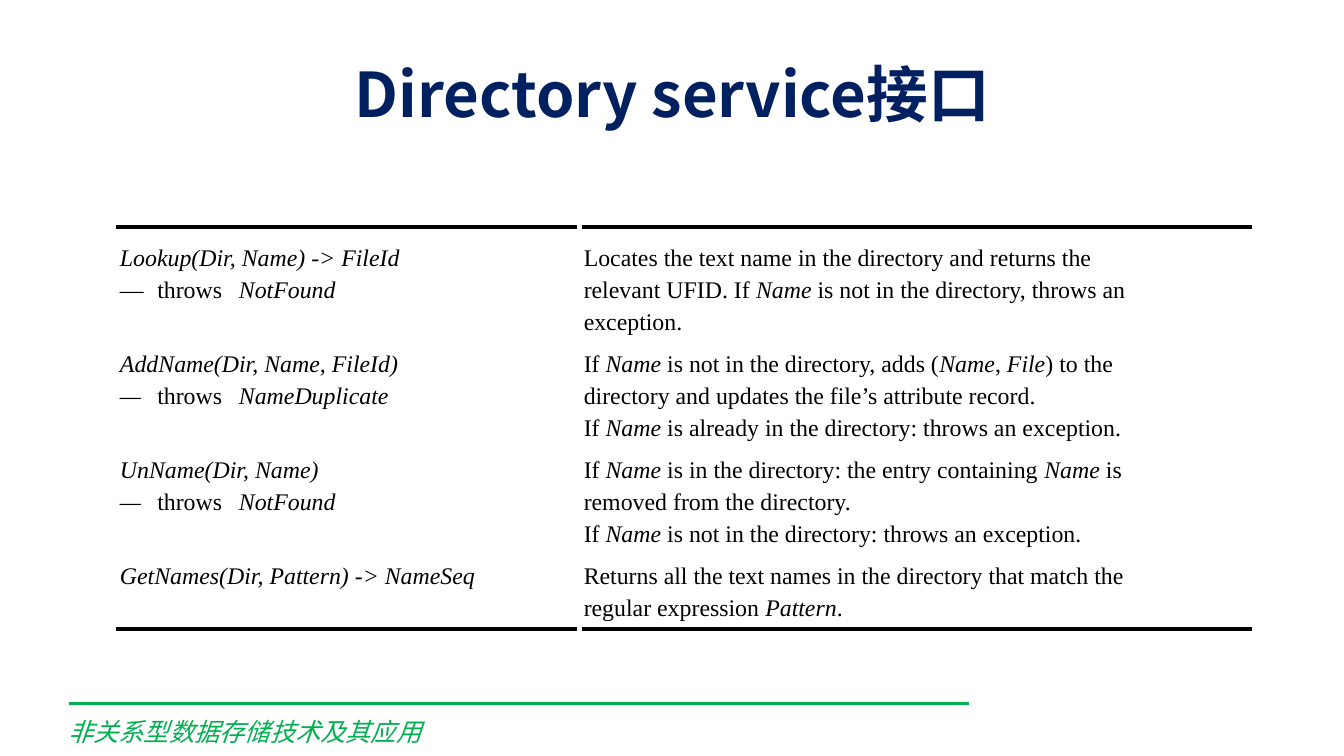
import pptx
import pptx.util
import pptx.dml.color
import pptx.enum.shapes
import pptx.enum.text
import pptx.oxml.ns
from lxml import etree

Inches, Pt = pptx.util.Inches, pptx.util.Pt
qn = pptx.oxml.ns.qn
COLORS = {"title": "002060", "footer": "00B050", "text": "000000", "divider": "FFFFFF"}
SANS, SERIF = "Noto Sans CJK JP", "Times New Roman"
TITLE = {"name": SANS, "size": Pt(44), "bold": True}
FOOTER = {"name": SANS, "size": Pt(18), "italic": True}
BODY = {"name": SERIF, "size": Pt(17)}

# Asterisks enclose italic words; each line is its own paragraph
ROWS = [
    (["*Lookup(Dir, Name) -> FileId*", "—\tthrows\t*NotFound*"],
     ["Locates the text name in the directory and returns the",
      "relevant UFID. If *Name* is not in the directory, throws an",
      "exception."]),
    (["*AddName(Dir, Name, FileId)*", "*—*\tthrows\t*NameDuplicate*"],
     ["If *Name* is not in the directory, adds (*Name*, *File*) to the",
      "directory and updates the file’s attribute record.",
      "If *Name* is already in the directory: throws an exception."]),
    (["*UnName(Dir, Name)*", "*—*\tthrows\t*NotFound*"],
     ["If *Name* is in the directory: the entry containing *Name* is",
      "removed from the directory.",
      "If *Name* is not in the directory: throws an exception."]),
    (["*GetNames(Dir, Pattern) -> NameSeq*"],
     ["Returns all the text names in the directory that match the",
      "regular expression *Pattern*."]),
]


def rgb(color):
    return pptx.dml.color.RGBColor.from_string(COLORS[color])


def add_run(p, text, color, fmt):
    r = p.add_run()
    r.text = text
    r.font.color.rgb = rgb(color)
    for key, value in fmt.items():
        setattr(r.font, key, value)
    etree.SubElement(r.font._element, qn("a:ea"), typeface=fmt["name"])


def add_rule(s, x1, x2, y, color, width):
    line = s.shapes.add_connector(pptx.enum.shapes.MSO_CONNECTOR.STRAIGHT,
                                  Inches(x1), Inches(y), Inches(x2), Inches(y))
    line.line.color.rgb = rgb(color)
    line.line.width = Pt(width)
    etree.SubElement(line._element.spPr, qn("a:effectLst"))


def add_divider(s, box):
    sp = s.shapes.add_shape(pptx.enum.shapes.MSO_SHAPE.RECTANGLE, *map(Inches, box))
    sp.shadow.inherit = False
    sp.fill.solid()
    sp.fill.fore_color.rgb = rgb("divider")
    sp.line.fill.background()


def add_text(s, box, text, color, fmt, anchor, align):
    tf = s.shapes.add_textbox(*map(Inches, box)).text_frame
    tf.word_wrap = True
    tf.vertical_anchor = anchor
    p = tf.paragraphs[0]
    p.alignment = align
    add_run(p, text, color, fmt)


def add_title(s, box):
    add_text(s, box, "Directory service接口", "title", TITLE,
             pptx.enum.text.MSO_ANCHOR.MIDDLE, pptx.enum.text.PP_ALIGN.CENTER)


def add_footer(s, left, top):
    add_rule(s, left, left + 8.93, top, "footer", 2.25)
    add_text(s, (left - 0.1, top + 0.08, 7.24, 0.4), "非关系型数据存储技术及其应用", "footer",
             FOOTER, pptx.enum.text.MSO_ANCHOR.TOP, pptx.enum.text.PP_ALIGN.LEFT)


def fill_cell(cell, lines):
    cell.fill.background()
    margins = {"margin_left": 0.04, "margin_top": 0.1, "margin_right": 0, "margin_bottom": 0}
    for key, value in margins.items():
        setattr(cell, key, Inches(value))
    tf = cell.text_frame
    for i, text in enumerate(lines):
        p = tf.paragraphs[0] if i == 0 else tf.add_paragraph()
        p.line_spacing = Pt(22.7)
        if "\t" in text:
            tabs = etree.SubElement(p._p.get_or_add_pPr(), qn("a:tabLst"))
            for pos in (0.37, 1.18):
                etree.SubElement(tabs, qn("a:tab"), pos=str(Inches(pos)), algn="l")
        for j, part in enumerate(text.split("*")):
            if part:
                add_run(p, part, "text", {**BODY, "italic": j % 2 == 1})


def add_interface_table(s, box):
    left, top, width, height = box
    split, last_height = 4.6, 0.74
    last = len(ROWS) - 1
    row_height = (height - last_height) / last
    table = s.shapes.add_table(len(ROWS), 2, *map(Inches, box)).table
    table.first_row = table.horz_banding = False
    for column, w in zip(table.columns, (split, width - split)):
        column.width = Inches(w)
    for i, cells in enumerate(ROWS):
        h = row_height if i < last else last_height
        table.rows[i].height = Inches(h)
        for j, lines in enumerate(cells):
            fill_cell(table.cell(i, j), lines)
        # White divider between the columns
        add_divider(s, (left + split, top + i * row_height, 0.03, h))
    # Rules above and below, with a gap between the columns
    for y in (top - 0.03, top + height + 0.06):
        for x1, x2 in ((left, left + split - 0.03), (left + split + 0.02, left + width)):
            add_rule(s, x1, x2, y, "text", 2.5)


def main():
    prs = pptx.Presentation()
    prs.slide_width, prs.slide_height = Inches(13.33), Inches(7.5)
    s = prs.slides.add_slide(prs.slide_layouts[6])
    add_footer(s, 0.68, 6.98)
    add_title(s, (0.67, 0.3, 12, 1.25))
    add_interface_table(s, (1.15, 2.28, 11.27, 3.9))
    prs.save("out.pptx")


if __name__ == "__main__":
    main()
